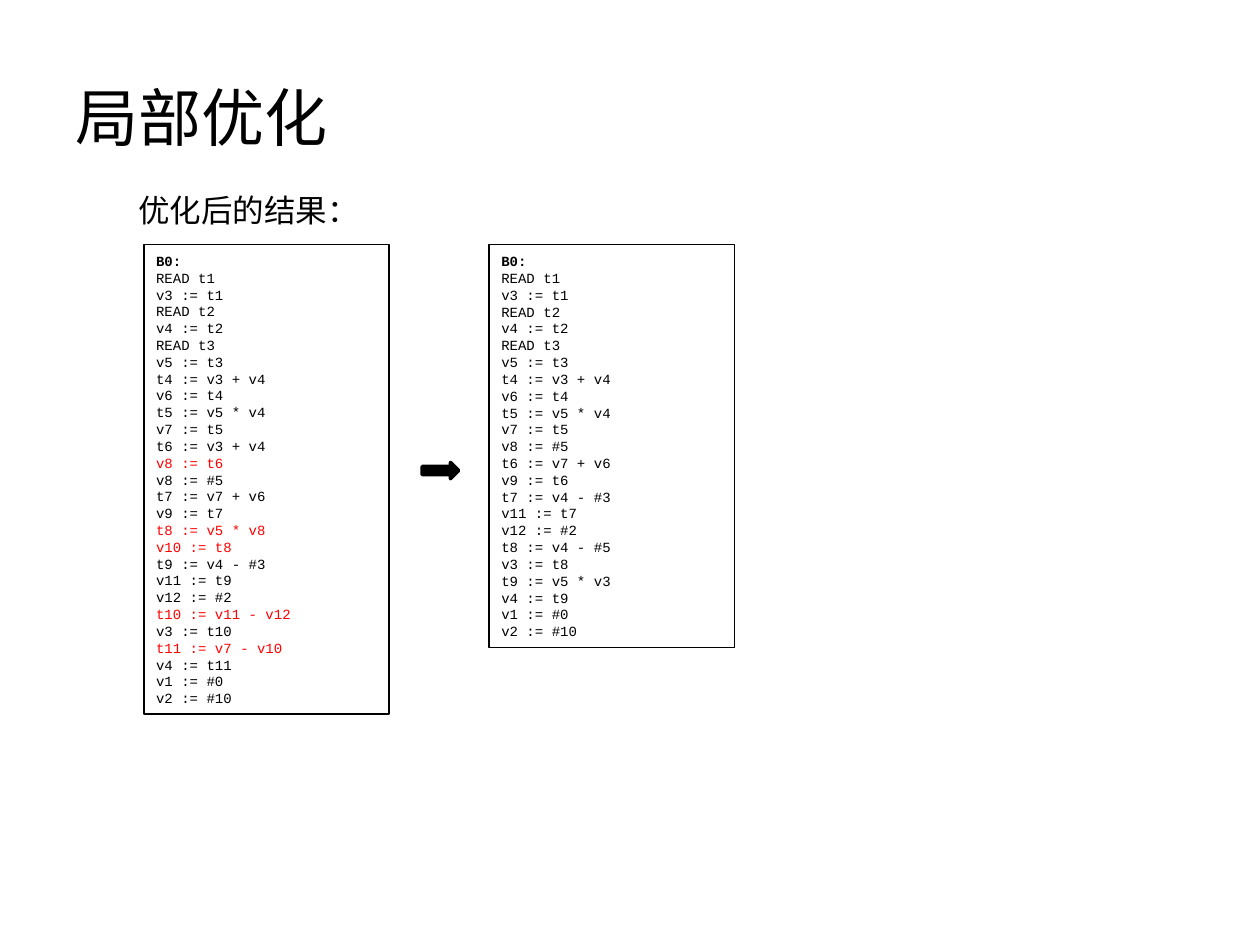
from dataclasses import dataclass
from pptx import Presentation
from pptx.dml.color import RGBColor as RGB
from pptx.enum.shapes import MSO_SHAPE as Shape
from pptx.enum.text import MSO_ANCHOR as Anchor, PP_ALIGN as Align
from pptx.util import Inches, Pt


@dataclass(frozen=True)
class Theme:
    ink: RGB = RGB(0, 0, 0)
    mark: RGB = RGB(255, 0, 0)
    font: str = "Calibri"
    mono: str = "Courier New"
    head: float = 36
    body: float = 18
    code: float = 8
    lead: float = 9.6


class Deck:
    def __init__(self, theme):
        self.theme = theme
        self.show = Presentation()
        self.show.slide_width, self.show.slide_height = Inches(10), Inches(7.5)
        self.slide = self.show.slides.add_slide(self.show.slide_layouts[6])

    def style(self, para, font, size, color, bold=False):
        para.alignment = Align.LEFT
        for run in para.runs:
            run.font.name, run.font.size, run.font.bold = font, Pt(size), bold
            run.font.color.rgb = color

    def text(self, words, box, size, anchor=Anchor.TOP, space=1.0):
        frame = self.slide.shapes.add_textbox(*map(Inches, box)).text_frame
        frame.word_wrap, frame.vertical_anchor = True, anchor
        frame.text = words
        para = frame.paragraphs[0]
        para.line_spacing = space
        self.style(para, self.theme.font, size, self.theme.ink)

    def shape(self, kind, box, width):
        item = self.slide.shapes.add_shape(kind, *map(Inches, box))
        item.shadow.inherit = False
        item.line.color.rgb, item.line.width = self.theme.ink, Pt(width)
        return item

    def arrow(self, box):
        item = self.shape(Shape.RIGHT_ARROW, box, 2)
        item.fill.solid()
        item.fill.fore_color.rgb = self.theme.ink

    def code(self, lines, box, marked=()):
        look = self.theme
        item = self.shape(Shape.RECTANGLE, box, 1)
        item.fill.background()
        frame = item.text_frame
        frame.word_wrap, frame.vertical_anchor = True, Anchor.MIDDLE
        frame.text = "\n".join(lines)
        for line, para in zip(lines, frame.paragraphs):
            para.line_spacing = Pt(look.lead)
            color = look.mark if line in marked else look.ink
            self.style(para, look.mono, look.code, color, line.endswith(":"))

    def save(self):
        self.show.save("out.pptx")


START = ["B0:", "READ t1", "v3 := t1", "READ t2", "v4 := t2", "READ t3",
         "v5 := t3", "t4 := v3 + v4", "v6 := t4", "t5 := v5 * v4", "v7 := t5"]
END = ["v1 := #0", "v2 := #10"]
BEFORE = ["t6 := v3 + v4", "v8 := t6", "v8 := #5", "t7 := v7 + v6", "v9 := t7",
          "t8 := v5 * v8", "v10 := t8", "t9 := v4 - #3", "v11 := t9",
          "v12 := #2", "t10 := v11 - v12", "v3 := t10", "t11 := v7 - v10",
          "v4 := t11"]
AFTER = ["v8 := #5", "t6 := v7 + v6", "v9 := t6", "t7 := v4 - #3", "v11 := t7",
         "v12 := #2", "t8 := v4 - #5", "v3 := t8", "t9 := v5 * v3", "v4 := t9"]
MARKED = {"v8 := t6", "t8 := v5 * v8", "v10 := t8", "t10 := v11 - v12",
          "t11 := v7 - v10"}

theme = Theme()
deck = Deck(theme)
deck.text("局部优化", (0.5, 0.3, 9, 1.25), theme.head, Anchor.MIDDLE)
deck.text("优化后的结果:".replace(":", "："), (1, 1.32, 8.16, 3.06), theme.body, space=1.5)
deck.code(START + BEFORE + END, (1.14, 1.94, 1.95, 3.73), MARKED)
deck.arrow((3.35, 3.67, 0.29, 0.13))
deck.code(START + AFTER + END, (3.88, 1.94, 1.95, 3.2))
deck.save()
